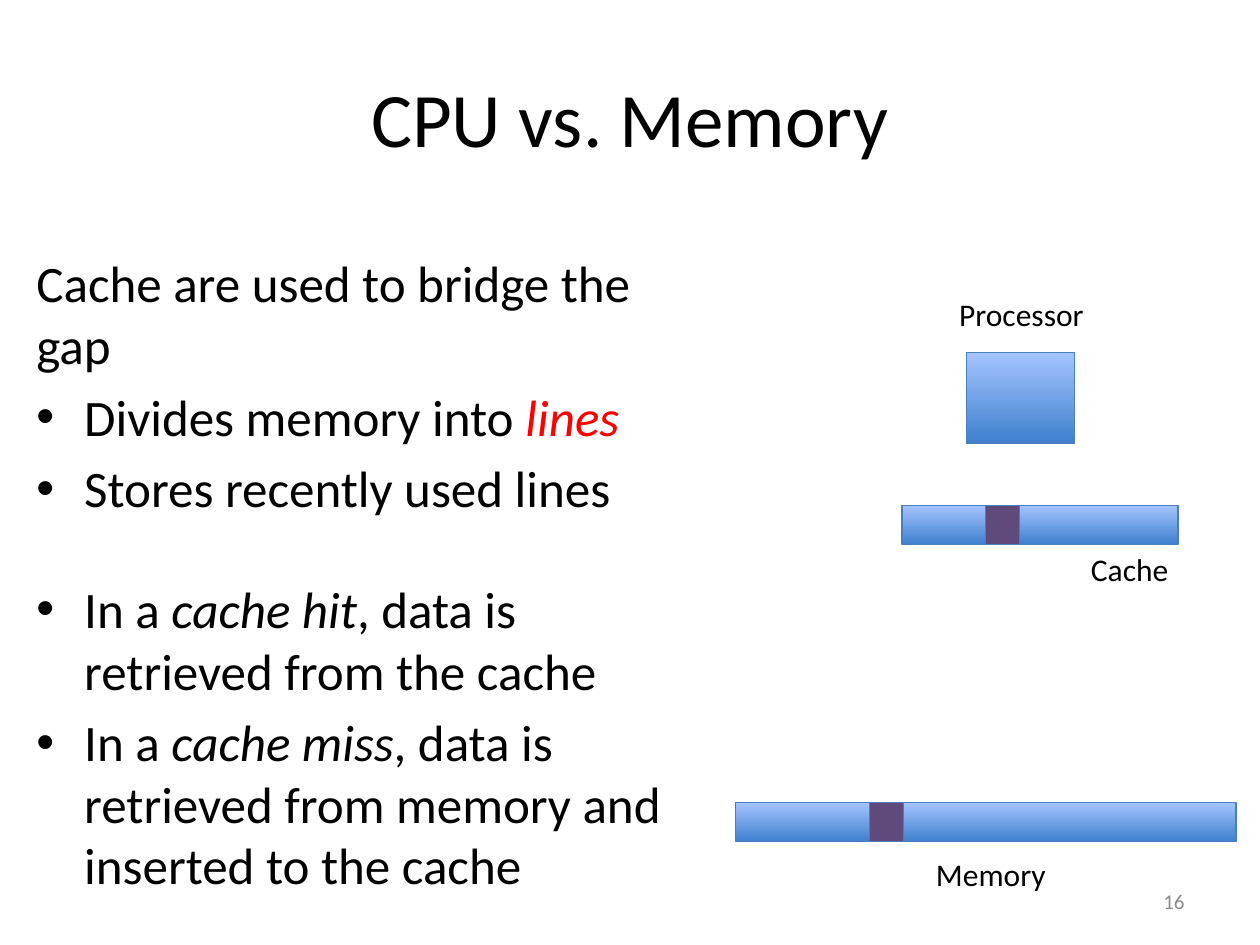
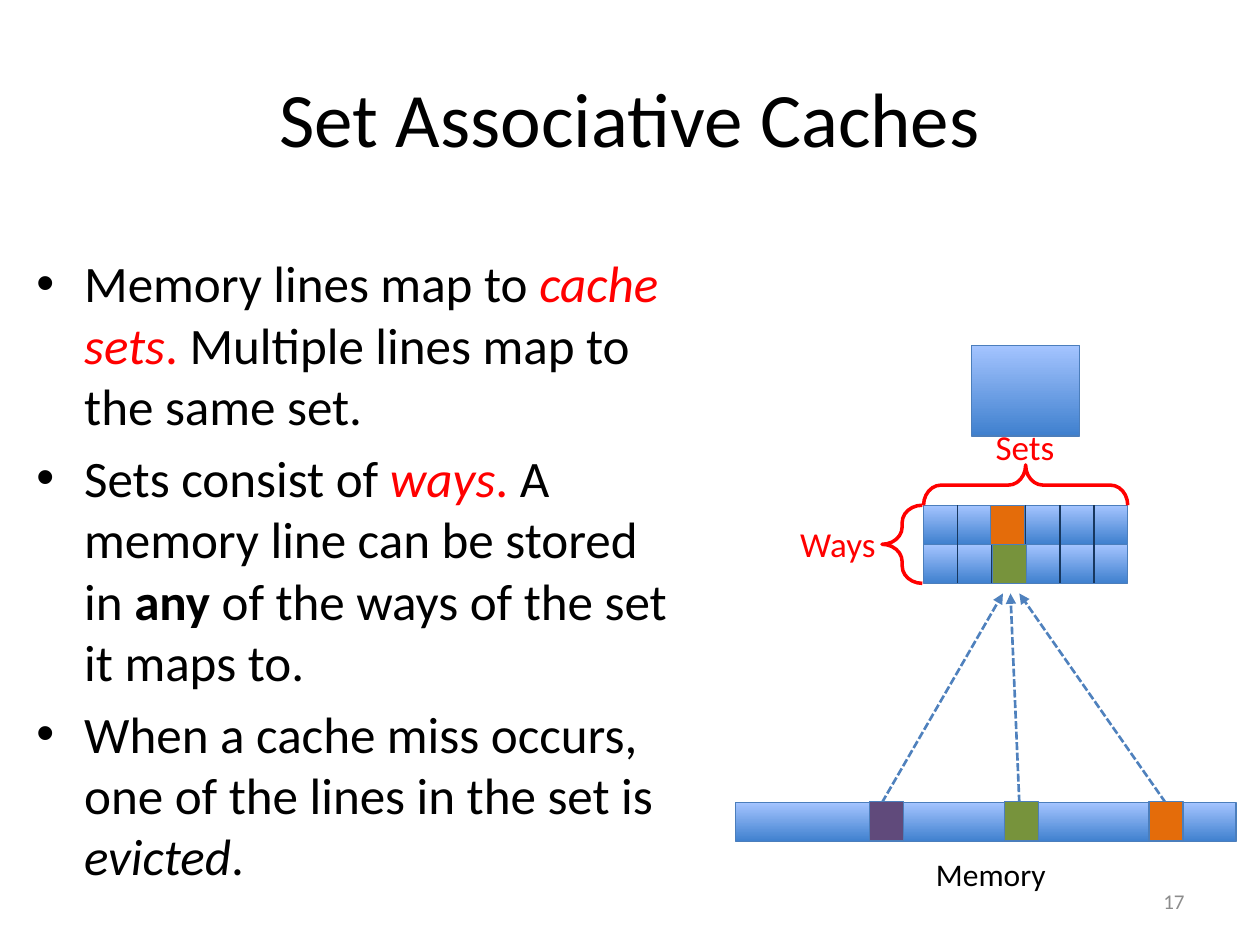
from lxml import etree
from pptx import Presentation, util as u
from pptx.dml.color import RGBColor
from pptx.enum import dml, shapes, text
from pptx.oxml.ns import qn

# Shared look
FONT = "Calibri"
BLACK, RED, GREY = "000000", "FF0000", "8C8C8C"
BAR_DARK, BAR_LIGHT, BAR_EDGE = "3F80CE", "A4C4FF", "4B7EBC"
PURPLE, GREEN, ORANGE = "604A7B", "77933C", "E46C0A"
ARROW, DIVIDER = "4F81BD", "17375E"
BODY_SIZE, BODY_GAP, BODY_INDENT = 29.2, 6, 0.38

# Content: (bulleted, space before in points, runs); a run is (words, style)
# Styles: i italic, b bold, r red
BRIDGE_TEXT = [
    (False, 0, [("Cache are used to bridge the gap", "")]),
    (True, BODY_GAP, [("Divides memory into ", ""), ("lines", "ir")]),
    (True, BODY_GAP, [("Stores recently used lines", "")]),
    (True, 34, [("In a ", ""), ("cache hit", "i"),
                (", data is retrieved from the cache", "")]),
    (True, BODY_GAP, [("In a ", ""), ("cache miss", "i"),
                      (", data is retrieved from memory and inserted to the cache", "")]),
]
SETS_TEXT = [
    (True, 0, [("Memory lines map to ", ""), ("cache sets", "ir"), (".", "r"),
               (" Multiple lines map to the same set.", "")]),
    (True, BODY_GAP, [("Sets consist of ", ""), ("ways", "ir"), (".", "r"),
                      (" A memory line can be stored in ", ""), ("any", "b"),
                      (" of the ways of the set it maps to.", "")]),
    (True, BODY_GAP, [("When a cache miss occurs, one of the lines in the set is ", ""),
                      ("evicted", "i"), (".", "")]),
]

# Diagram grid, in inches
LINE_W, LINE_H = 0.27, 0.31
CPU_W, CPU_H = 0.86, 0.72
MEMORY_LEFT, MEMORY_TOP, MEMORY_W = 5.84, 6.37, 3.97
CACHE_TOP = 4.01
SETS_LEFT, SET_COUNT, WAY_COUNT = 7.33, 6, 2
SETS_W, WAYS_H = SET_COUNT * LINE_W, WAY_COUNT * LINE_H
BRACE_DEPTH = 0.32
# Memory lines on the second slide: left edge, colour, arrow start, arrow end
MAPPED_LINES = [(6.9, PURPLE, 7.0, 7.96), (7.97, GREEN, 8.09, 8.02),
                (9.12, ORANGE, 9.25, 8.09)]
ARROW_TIP = 4.71


def color(value):
    return RGBColor.from_string(value)


def inches(*values):
    return [u.Inches(value) for value in values]


def set_font(font, size, value):
    font.name, font.size = FONT, u.Pt(size)
    font.color.rgb = color(value)


def add_label(page, words, place, size=18, value=BLACK, align=text.PP_ALIGN.LEFT):
    box = page.shapes.add_textbox(*inches(*place))
    frame = box.text_frame
    frame.word_wrap = False
    frame.auto_size = text.MSO_AUTO_SIZE.SHAPE_TO_FIT_TEXT
    para = frame.paragraphs[0]
    para.text, para.alignment = words, align
    set_font(para.font, size, value)


def add_block(page, left, top, width=LINE_W, height=LINE_H, value=None):
    """Add a rectangle: plain when a colour is given, else the blue gradient."""
    block = page.shapes.add_shape(shapes.MSO_SHAPE.RECTANGLE,
                                  *inches(left, top, width, height))
    block.shadow.inherit = False
    block.line.color.rgb = color(BAR_EDGE)
    block.line.width = u.Pt(0.75)
    if value:
        block.fill.solid()
        block.fill.fore_color.rgb = color(value)
        return
    block.fill.gradient()
    block.fill.gradient_angle = 90
    for stop, position, shade in zip(block.fill.gradient_stops, (0, 1),
                                     (BAR_DARK, BAR_LIGHT)):
        stop.position, stop.color.rgb = position, color(shade)


def add_line(page, start, end, value, width, arrow=False):
    line = page.shapes.add_connector(shapes.MSO_CONNECTOR.STRAIGHT,
                                     *inches(*start, *end))
    line.line.color.rgb = color(value)
    line.line.width = u.Pt(width)
    properties = line._element.spPr
    if arrow:
        line.line.dash_style = dml.MSO_LINE.SQUARE_DOT
        etree.SubElement(properties.find(qn("a:ln")), qn("a:tailEnd"), type="triangle")
    etree.SubElement(properties, qn("a:effectLst"))


def add_brace(page, center_x, center_y, length, rotation=0):
    brace = page.shapes.add_shape(
        shapes.MSO_SHAPE.LEFT_BRACE,
        *inches(center_x - BRACE_DEPTH / 2, center_y - length / 2, BRACE_DEPTH, length))
    brace.adjustments[0] = 0.43
    brace.rotation = rotation
    brace.shadow.inherit = False
    brace.fill.background()
    brace.line.color.rgb = color(RED)
    brace.line.width = u.Pt(2)


def add_body(page, paragraphs):
    frame = page.shapes.add_textbox(*inches(0.19, 1.95, 5.32, 4.95)).text_frame
    frame.word_wrap = True
    for index, (bulleted, gap, runs) in enumerate(paragraphs):
        para = frame.add_paragraph() if index else frame.paragraphs[0]
        if bulleted:
            properties = para._p.get_or_add_pPr()
            indent = u.Inches(BODY_INDENT)
            properties.set("marL", str(indent))
            properties.set("indent", str(-indent))
            etree.SubElement(properties, qn("a:buFont"), typeface="Arial")
            etree.SubElement(properties, qn("a:buChar"), char="•")
        para.space_before = u.Pt(gap)
        set_font(para.font, BODY_SIZE, BLACK)
        for words, style in runs:
            span = para.add_run()
            span.text = words
            set_font(span.font, BODY_SIZE, RED if "r" in style else BLACK)
            span.font.italic = "i" in style
            span.font.bold = "b" in style


def add_page(deck, title, paragraphs, number):
    """Add the title, body text, memory bar and page number of a slide."""
    page = deck.slides.add_slide(deck.slide_layouts[5])
    heading = page.shapes.title
    heading.left, heading.top, heading.width, heading.height = inches(0.5, 0.3, 9, 1.25)
    heading.text_frame.vertical_anchor = text.MSO_ANCHOR.MIDDLE
    para = heading.text_frame.paragraphs[0]
    para.text, para.alignment = title, text.PP_ALIGN.CENTER
    set_font(para.font, 44, BLACK)

    add_body(page, paragraphs)
    add_block(page, MEMORY_LEFT, MEMORY_TOP, MEMORY_W)
    add_label(page, "Memory", (7.33, 6.74, 1.08, 0.4))

    frame = page.shapes.add_textbox(*inches(7.17, 6.95, 2.33, 0.4)).text_frame
    frame.word_wrap = True
    frame.vertical_anchor = text.MSO_ANCHOR.MIDDLE
    para = frame.paragraphs[0]
    para.text, para.alignment = str(number), text.PP_ALIGN.RIGHT
    set_font(para.font, 12, GREY)
    return page


def draw_bridge(page):
    # Processor, cache, and one line held in both cache and memory
    add_label(page, "Processor", (7.5, 2.29, 1.2, 0.4), align=text.PP_ALIGN.RIGHT)
    add_block(page, 7.67, 2.8, CPU_W, CPU_H)
    add_block(page, 7.16, CACHE_TOP, 2.19)
    add_label(page, "Cache", (8.56, 4.32, 0.82, 0.4))
    for left, top in ((7.82, CACHE_TOP), (6.9, MEMORY_TOP)):
        add_block(page, left, top, value=PURPLE)


def draw_sets(page):
    # Processor and the cache, one bar per way, split into sets
    add_block(page, 7.71, 2.74, CPU_W, CPU_H)
    for way in range(WAY_COUNT):
        add_block(page, SETS_LEFT, CACHE_TOP + way * LINE_H, SETS_W)
    for column in range(1, SET_COUNT):
        x = SETS_LEFT + column * SETS_W / SET_COUNT
        add_line(page, (x, CACHE_TOP), (x, CACHE_TOP + WAYS_H), DIVIDER, 1)

    # Braces with their labels
    add_brace(page, SETS_LEFT - BRACE_DEPTH / 2 - 0.01, CACHE_TOP + WAYS_H / 2, WAYS_H)
    add_brace(page, SETS_LEFT + SETS_W / 2, CACHE_TOP - BRACE_DEPTH / 2, SETS_W, 90)
    for words, place in (("Ways", (6.24, 4.1, 0.82, 0.44)),
                         ("Sets", (7.8, 3.33, 0.67, 0.44))):
        add_label(page, words, place, 20, RED, text.PP_ALIGN.CENTER)

    # Memory lines that map to the same set
    for left, value, start, end in MAPPED_LINES:
        add_line(page, (start, MEMORY_TOP), (end, ARROW_TIP), ARROW, 1.5, arrow=True)
        add_block(page, left, MEMORY_TOP - 0.01, value=value)
    add_block(page, 7.86, CACHE_TOP, value=ORANGE)
    add_block(page, 7.88, CACHE_TOP + LINE_H, value=GREEN)


def main():
    deck = Presentation()
    deck.slide_width, deck.slide_height = inches(10, 7.5)
    draw_bridge(add_page(deck, "CPU vs. Memory", BRIDGE_TEXT, 16))
    draw_sets(add_page(deck, "Set Associative Caches", SETS_TEXT, 17))
    deck.save("out.pptx")


if __name__ == "__main__":
    main()
